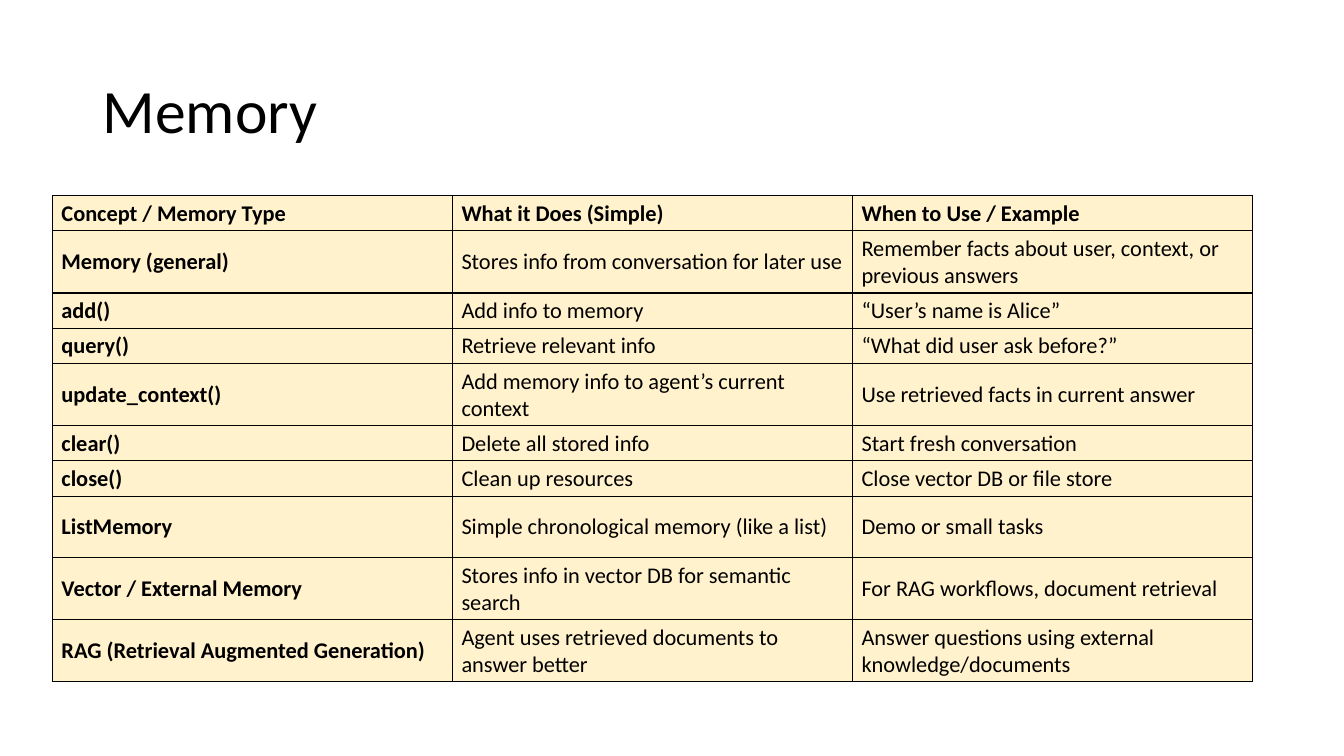
from dataclasses import dataclass

from lxml.etree import SubElement
from pptx import Presentation
from pptx.dml.color import RGBColor
from pptx.enum.text import MSO_ANCHOR
from pptx.oxml.ns import qn
from pptx.util import Inches, Pt


@dataclass(frozen=True)
class Theme:
    """Colours, type sizes and line widths of the slide."""
    font: str = "Calibri"
    ink: str = "000000"
    cream: str = "FFF2CC"
    title_size: int = 44
    table_size: int = 16
    border: int = 1


THEME = Theme()
WIDTH, HEIGHT = Inches(13.333), Inches(7.5)
SHORT_ROW, TALL_ROW = 4.67, 8.13

MEMORY_ROWS = [
    (SHORT_ROW, "Concept / Memory Type", "What it Does (Simple)", "When to Use / Example"),
    (TALL_ROW, "Memory (general)", "Stores info from conversation for later use",
     "Remember facts about user, context, or previous answers"),
    (SHORT_ROW, "add()", "Add info to memory", "“User’s name is Alice”"),
    (SHORT_ROW, "query()", "Retrieve relevant info", "“What did user ask before?”"),
    (TALL_ROW, "update_context()", "Add memory info to agent’s current context",
     "Use retrieved facts in current answer"),
    (SHORT_ROW, "clear()", "Delete all stored info", "Start fresh conversation"),
    (SHORT_ROW, "close()", "Clean up resources", "Close vector DB or file store"),
    (TALL_ROW, "ListMemory", "Simple chronological memory (like a list)",
     "Demo or small tasks"),
    (TALL_ROW, "Vector / External Memory", "Stores info in vector DB for semantic search",
     "For RAG workflows, document retrieval"),
    (TALL_ROW, "RAG (Retrieval Augmented Generation)",
     "Agent uses retrieved documents to answer better",
     "Answer questions using external knowledge/documents"),
]


def across(percent):
    """Turn a percentage of the slide's width into a length."""
    return round(WIDTH * percent / 100)


def down(percent):
    """Turn a percentage of the slide's height into a length."""
    return round(HEIGHT * percent / 100)


def set_format(target, values):
    """Set each attribute named in values on the target."""
    for name, value in values.items():
        setattr(target, name, value)


def write(para, text, size, bold=False):
    """Add one styled run of text to a paragraph."""
    span = para.add_run()
    span.text = text
    set_format(span.font, {"name": THEME.font, "size": Pt(size), "bold": bold})
    span.font.color.rgb = RGBColor.from_string(THEME.ink)


def add_title(page, text):
    """Add the slide's heading."""
    box = page.shapes.add_textbox(across(6.9), down(5.33), across(86.25), down(19.33))
    set_format(box.text_frame, {"word_wrap": True, "vertical_anchor": MSO_ANCHOR.MIDDLE})
    para = box.text_frame.paragraphs[0]
    para.line_spacing = 0.9
    write(para, text, THEME.title_size)


def add_borders(cell):
    """Draw a solid line on all four sides of a cell, ahead of its fill."""
    properties = cell._tc.get_or_add_tcPr()
    for index, side in enumerate(("lnL", "lnR", "lnT", "lnB")):
        line = SubElement(properties, qn(f"a:{side}"), w=str(Pt(THEME.border)))
        fill = SubElement(line, qn("a:solidFill"))
        SubElement(fill, qn("a:srgbClr"), val=THEME.ink)
        properties.insert(index, line)


def fill_cell(cell, text, bold):
    """Write, colour and outline one table cell."""
    set_format(cell, {
        "vertical_anchor": MSO_ANCHOR.MIDDLE,
        "margin_left": Inches(0.09), "margin_right": Inches(0.09),
        "margin_top": Pt(3), "margin_bottom": Pt(3),
    })
    cell.fill.solid()
    cell.fill.fore_color.rgb = RGBColor.from_string(THEME.cream)
    add_borders(cell)
    write(cell.text_frame.paragraphs[0], text, THEME.table_size, bold)


def add_memory_table(page, rows):
    """Add a table with equal columns, a bold header and bold row labels."""
    heights = [height for height, *_ in rows]
    columns = len(rows[0]) - 1
    frame = page.shapes.add_table(len(rows), columns, across(3.9), down(25.87),
                                  across(89.3), down(sum(heights)))
    table = frame.table
    set_format(table, {"first_row": False, "horz_banding": False})
    for row_index, (height, *texts) in enumerate(rows):
        table.rows[row_index].height = down(height)
        for column_index, text in enumerate(texts):
            fill_cell(table.cell(row_index, column_index), text,
                      bold=row_index == 0 or column_index == 0)


def main():
    """Build the slide and save it."""
    deck = Presentation()
    set_format(deck, {"slide_width": WIDTH, "slide_height": HEIGHT})
    page = deck.slides.add_slide(deck.slide_layouts[6])
    add_title(page, "Memory")
    add_memory_table(page, MEMORY_ROWS)
    deck.save("out.pptx")


main()
